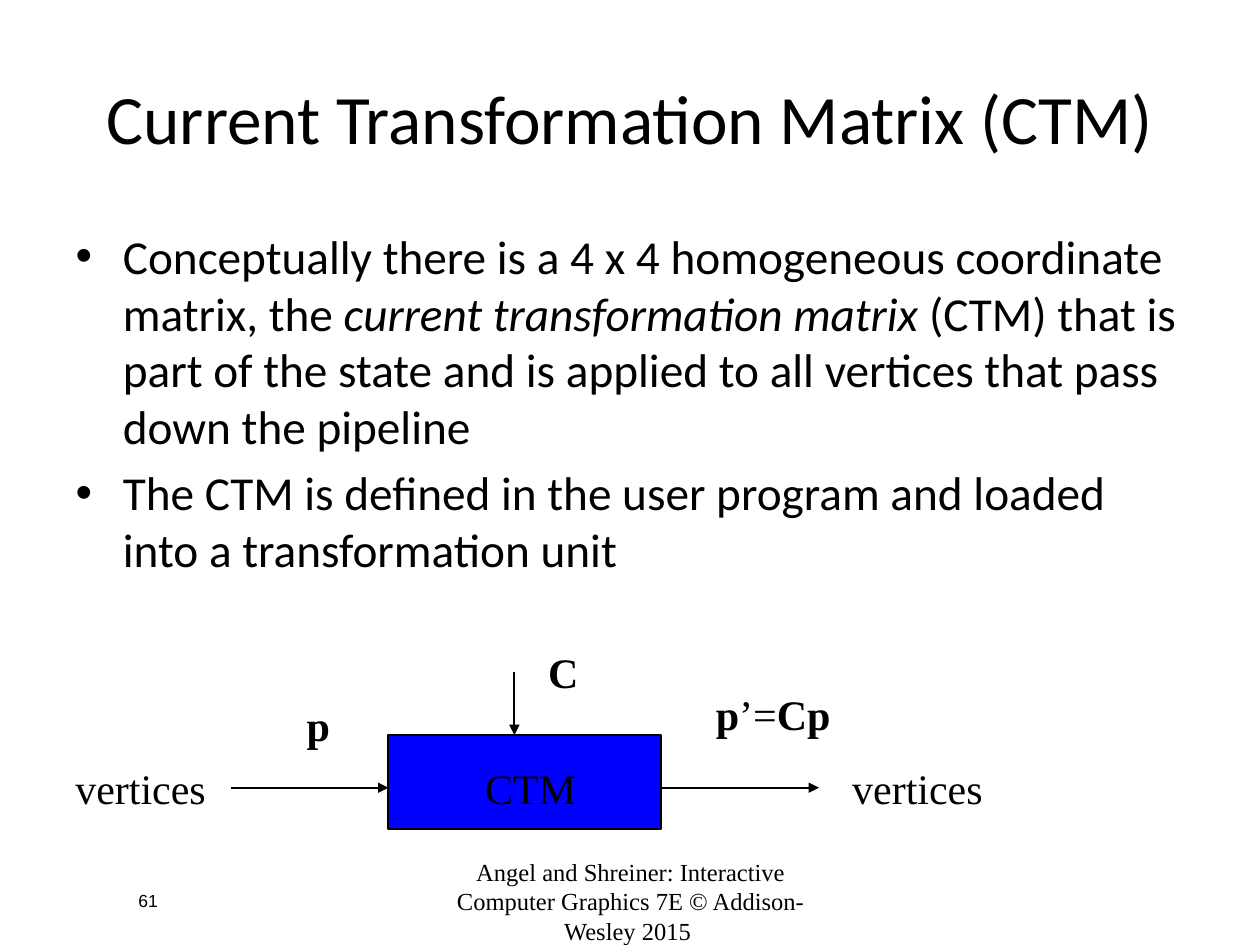
from lxml.etree import SubElement
from pptx import Presentation
from pptx.dml.color import RGBColor
from pptx.enum.shapes import MSO_CONNECTOR, MSO_SHAPE
from pptx.enum.text import MSO_ANCHOR, MSO_AUTO_SIZE, PP_ALIGN
from pptx.oxml.ns import qn
from pptx.util import Cm, Pt

COLORS = {"text": "000000", "line": "000000", "unit": "0000FF"}
SERIF = "Times New Roman"


def add_span(para, text, font, size, bold=False, italic=False):
    span = para.add_run()
    span.text = text
    span.font.name = font
    span.font.size = Pt(size)
    span.font.bold = bold
    span.font.italic = italic
    span.font.color.rgb = RGBColor.from_string(COLORS["text"])


def add_box(page, left, top, width, height, wrap):
    box = page.shapes.add_textbox(Cm(left), Cm(top), Cm(width), Cm(height))
    box.text_frame.word_wrap = wrap
    return box.text_frame


deck = Presentation()
deck.slide_width, deck.slide_height = Cm(25.4), Cm(19.05)
page = deck.slides.add_slide(deck.slide_layouts[1])

# Title
title = page.shapes.title
title.left, title.top, title.width, title.height = Cm(1.27), Cm(0.76), Cm(22.86), Cm(3.18)
title.text_frame.auto_size = MSO_AUTO_SIZE.NONE
title.text_frame.vertical_anchor = MSO_ANCHOR.MIDDLE
para = title.text_frame.paragraphs[0]
para.alignment = PP_ALIGN.CENTER
add_span(para, "Current Transformation Matrix (CTM)", "Calibri", 39.6)

# Bullet list: each item is a list of (text, italic)
items = [
    [("Conceptually there is a 4 x 4 homogeneous coordinate matrix, the ", False),
     ("current transformation matrix", True),
     (" (CTM) that is part of the state and is applied to all vertices "
      "that pass down the pipeline", False)],
    [("The CTM is defined in the user program and loaded into a transformation unit", False)],
]
body = page.placeholders[1]
body.left, body.top, body.width, body.height = Cm(1.27), Cm(4.45), Cm(22.86), Cm(12.57)
frame = body.text_frame
frame.auto_size = MSO_AUTO_SIZE.NONE
for index, item in enumerate(items):
    para = frame.add_paragraph() if index else frame.paragraphs[0]
    para.space_before = Pt(5.4 if index else 0)
    for text, italic in item:
        add_span(para, text, "Calibri", 27, italic=italic)

# Transformation unit
unit = page.shapes.add_shape(MSO_SHAPE.RECTANGLE, Cm(7.83), Cm(14.82), Cm(5.5), Cm(1.9))
unit.shadow.inherit = False
unit.fill.solid()
unit.fill.fore_color.rgb = RGBColor.from_string(COLORS["unit"])
unit.line.color.rgb = RGBColor.from_string(COLORS["line"])
unit.line.width = Pt(1)

# Arrows into and out of the unit
arrows = [
    (4.66, 15.88, 7.83, 15.88),
    (13.33, 15.88, 16.51, 15.88),
    (10.37, 13.55, 10.37, 14.82),
]
for ends in arrows:
    arrow = page.shapes.add_connector(MSO_CONNECTOR.STRAIGHT, *map(Cm, ends))
    arrow.line.color.rgb = RGBColor.from_string(COLORS["line"])
    arrow.line.width = Pt(1)
    SubElement(arrow.line._get_or_add_ln(), qn("a:tailEnd"), type="triangle")
    SubElement(arrow._element.spPr, qn("a:effectLst"))

# Diagram labels: left, top, width, spans of (text, bold)
labels = [
    (9.53, 15.24, 2.34, [("CTM", False)]),
    (1.27, 15.24, 3.15, [("vertices", False)]),
    (16.93, 15.24, 3.15, [("vertices", False)]),
    (5.93, 13.97, 0.99, [("p", True)]),
    (14.18, 13.76, 2.82, [("p", True), ("’=", False), ("Cp", True)]),
    (10.8, 12.91, 1.12, [("C", True)]),
]
for left, top, width, spans in labels:
    frame = add_box(page, left, top, width, 1.27, wrap=False)
    frame.auto_size = MSO_AUTO_SIZE.SHAPE_TO_FIT_TEXT
    for text, bold in spans:
        add_span(frame.paragraphs[0], text, SERIF, 24, bold=bold)

# Page number
frame = add_box(page, 1.27, 17.65, 5.92, 1.02, wrap=True)
frame.vertical_anchor = MSO_ANCHOR.MIDDLE
para = frame.paragraphs[0]
para.level = 1
para._p.get_or_add_pPr().set("marL", str(Cm(1.27)))
add_span(para, "61", "Arial", 10)

# Footer
frame = add_box(page, 8.69, 17.65, 8.05, 1.02, wrap=True)
frame.vertical_anchor = MSO_ANCHOR.MIDDLE
para = frame.paragraphs[0]
para.alignment = PP_ALIGN.CENTER
add_span(para, "Angel and Shreiner: Interactive Computer Graphics 7E © Addison-Wesley 2015 ",
         SERIF, 14)

deck.save("out.pptx")
